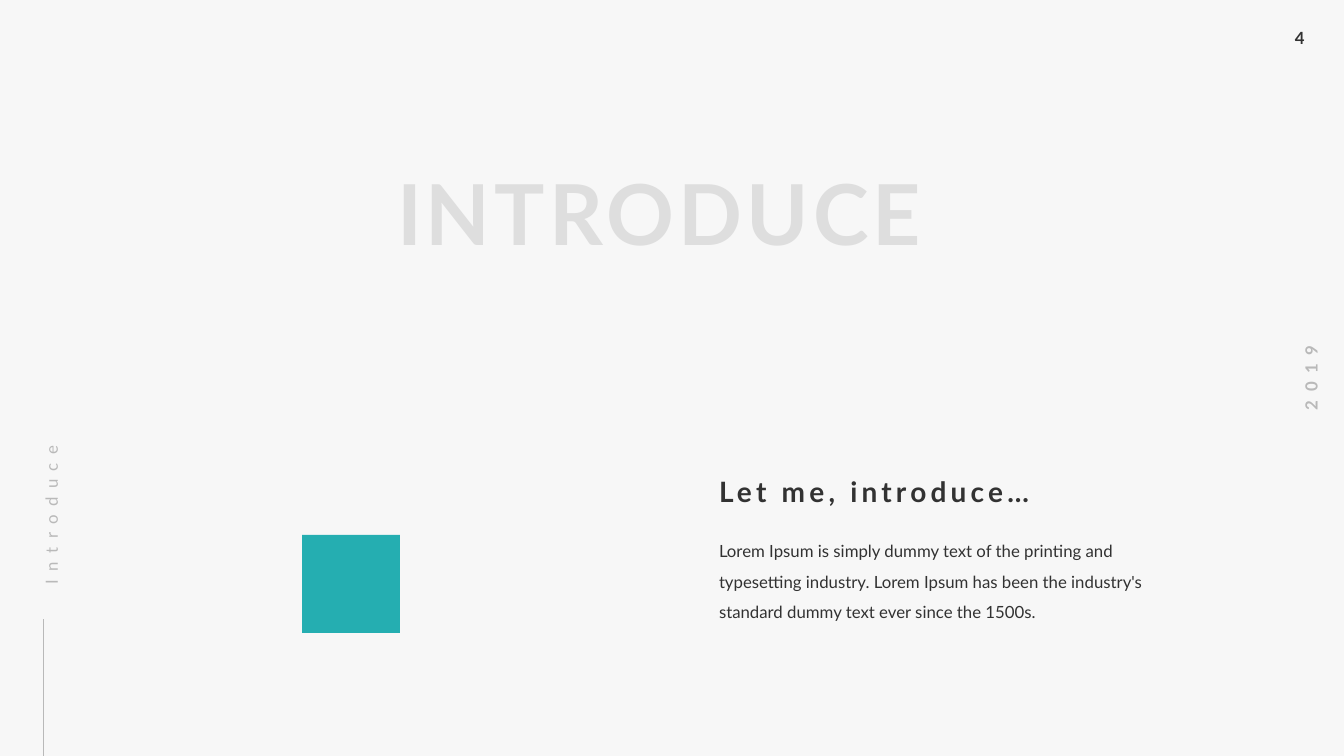
import dataclasses

import pptx
import pptx.dml.color
import pptx.enum.shapes
import pptx.enum.text
import pptx.oxml.ns
import pptx.util
from lxml import etree

EMU_PER_PX = 12192000 / 1344


def px(n):
    return pptx.util.Emu(round(n * EMU_PER_PX))


def rgb(value):
    return pptx.dml.color.RGBColor.from_string(value)


@dataclasses.dataclass(frozen=True)
class Theme:
    background: str = "F7F7F7"
    ink: str = "323232"
    muted: str = "B9B9B9"
    pale: str = "DEDEDE"
    accent: str = "25AEB1"
    font: str = "Lato"
    small: int = 12
    heading: int = 20
    display: int = 60
    tracking: int = 3
    wide_tracking: int = 6
    line_width: float = 0.5


class Deck:
    def __init__(self, theme):
        self.theme = theme
        self.prs = pptx.Presentation()
        self.prs.slide_width, self.prs.slide_height = px(1344), px(756)
        self.s = self.prs.slides.add_slide(self.prs.slide_layouts[6])
        fill = self.s.background.fill
        fill.solid()
        fill.fore_color.rgb = rgb(theme.background)

    def text(self, box, content, size=None, color=None, bold=False,
             tracking=0, align=None, rotation=0, wrap=True, inset=True,
             before=None, spacing=None):
        sp = self.s.shapes.add_textbox(*map(px, box))
        sp.rotation = rotation
        tf = sp.text_frame
        tf.word_wrap = wrap
        tf.auto_size = pptx.enum.text.MSO_AUTO_SIZE.SHAPE_TO_FIT_TEXT
        if not inset:
            tf.margin_left = tf.margin_top = tf.margin_bottom = 0
        p = tf.paragraphs[0]
        p.font.name = self.theme.font
        p.font.size = pptx.util.Pt(size or self.theme.small)
        p.font.bold = bold
        p.font.color.rgb = rgb(color or self.theme.ink)
        p.alignment = align
        p.line_spacing = spacing
        if before:
            p.space_before = pptx.util.Pt(before)
        r = p.add_run()
        r.text = content
        if tracking:
            r.font._element.set("spc", str(tracking * 100))

    def rect(self, box, color):
        kind = pptx.enum.shapes.MSO_SHAPE.RECTANGLE
        sp = self.s.shapes.add_shape(kind, *map(px, box))
        sp.shadow.inherit = False
        sp.fill.solid()
        sp.fill.fore_color.rgb = rgb(color)
        sp.line.fill.background()

    def line(self, x1, y1, x2, y2, color):
        kind = pptx.enum.shapes.MSO_CONNECTOR.STRAIGHT
        cxn = self.s.shapes.add_connector(kind, px(x1), px(y1), px(x2), px(y2))
        cxn.line.color.rgb = rgb(color)
        cxn.line.width = pptx.util.Pt(self.theme.line_width)
        etree.SubElement(cxn._element.spPr, pptx.oxml.ns.qn("a:effectLst"))


def main():
    theme = Theme()
    deck = Deck(theme)
    center = pptx.enum.text.PP_ALIGN.CENTER

    deck.text((1285, 23, 41, 30), "4", bold=True, wrap=False)
    deck.text((1264, 363, 94, 30), "2019", color=theme.muted, bold=True,
              tracking=theme.wide_tracking, align=center, rotation=270,
              wrap=False)

    deck.line(43, 756, 43, 619, theme.muted)
    deck.text((-49, 478, 186, 26), "Introduce", color=theme.muted,
              tracking=theme.wide_tracking, rotation=270, inset=False,
              before=12, spacing=1.5)

    deck.text((397, 161, 560, 101), "INTRODUCE", size=theme.display,
              color=theme.pale, bold=True, tracking=theme.tracking,
              inset=False)
    deck.rect((302, 535, 98, 98), theme.accent)

    deck.text((719, 531, 436, 88),
              "Lorem Ipsum is simply dummy text of the printing and typesetting "
              "industry. Lorem Ipsum has been the industry's standard dummy text "
              "ever since the 1500s.",
              inset=False, before=12, spacing=1.5)
    deck.text((719, 474, 353, 34), "Let me, introduce…", size=theme.heading,
              bold=True, tracking=theme.tracking, inset=False, before=12)

    deck.prs.save("out.pptx")


if __name__ == "__main__":
    main()
